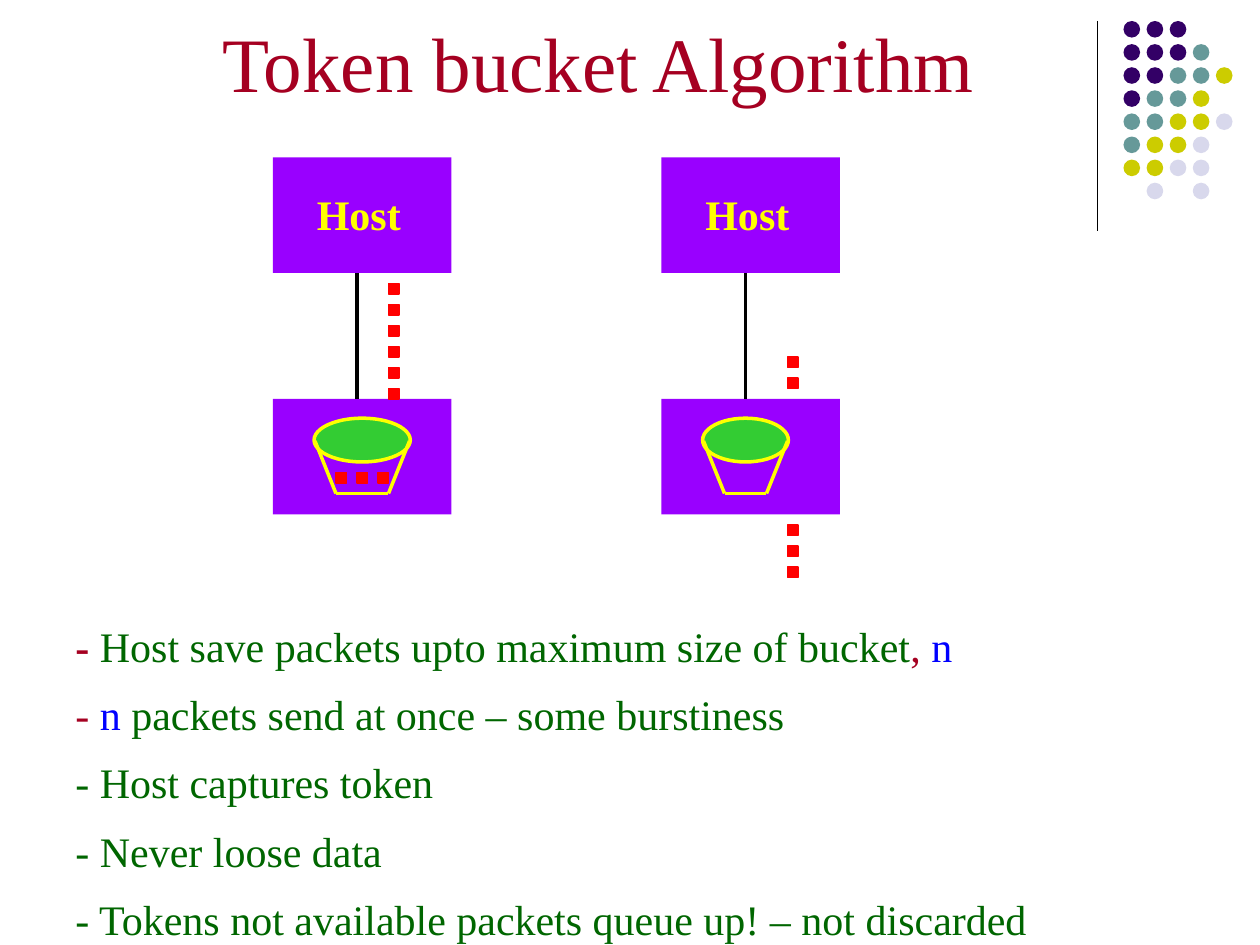
from lxml.etree import SubElement
from pptx import Presentation
from pptx.dml.color import RGBColor
from pptx.enum.shapes import MSO_CONNECTOR, MSO_SHAPE
from pptx.enum.text import MSO_ANCHOR, MSO_AUTO_SIZE, PP_ALIGN
from pptx.oxml.ns import qn
from pptx.util import Pt

VIOLET, YELLOW, GREEN, RED, BLACK = "9900FF", "FFFF00", "33CC33", "FF0000", "000000"
CRIMSON, DARK_GREEN, BLUE = "A50021", "006600", "0000FF"
DOT_COLORS = {"P": "330066", "T": "669999", "Y": "CCCC00", "L": "D8D8EC"}
DOT_ROWS = ["PPP", "PPPT", "PPTTY", "PTTY", "TTYYL", "TYYL", "YYLL", ".L.L"]


def color(value):
    return RGBColor.from_string(value)


class SlideBuilder:
    font_name = "Times New Roman"

    def __init__(self, slide):
        self.slide = slide

    def shape(self, kind, left, top, width, height, fill, line=None, line_width=1):
        shape = self.slide.shapes.add_shape(kind, Pt(left), Pt(top), Pt(width), Pt(height))
        shape.shadow.inherit = False
        shape.fill.solid()
        shape.fill.fore_color.rgb = color(fill)
        if line:
            shape.line.color.rgb = color(line)
            shape.line.width = Pt(line_width)
        else:
            shape.line.fill.background()
        return shape

    def line(self, x1, y1, x2, y2, line_color, width=2):
        connector = self.slide.shapes.add_connector(
            MSO_CONNECTOR.STRAIGHT, Pt(x1), Pt(y1), Pt(x2), Pt(y2))
        connector.line.color.rgb = color(line_color)
        connector.line.width = Pt(width)
        SubElement(connector._element.spPr, qn("a:effectLst"))

    def style(self, font, size, text_color, bold=False):
        font.name, font.size, font.bold = self.font_name, Pt(size), bold
        font.color.rgb = color(text_color)

    def title(self, text, left, top, width, height):
        title = self.slide.shapes.title
        title.left, title.top, title.width, title.height = map(Pt, (left, top, width, height))
        frame = title.text_frame
        frame.text = text
        frame.auto_size = MSO_AUTO_SIZE.NONE
        frame.vertical_anchor = MSO_ANCHOR.TOP
        frame.paragraphs[0].alignment = PP_ALIGN.CENTER
        self.style(frame.paragraphs[0].runs[0].font, 44, CRIMSON)

    def text(self, paragraphs, left, top, width, height, line_spacing=1.0, gap=0):
        """Each paragraph is a list of (text, color, bold) runs."""
        box = self.slide.shapes.add_textbox(Pt(left), Pt(top), Pt(width), Pt(height))
        frame = box.text_frame
        frame.word_wrap = True
        for index, runs in enumerate(paragraphs):
            paragraph = frame.add_paragraph() if index else frame.paragraphs[0]
            paragraph.line_spacing = line_spacing
            paragraph.space_before = Pt(gap if index else 0)
            for text, text_color, bold in runs:
                run = paragraph.add_run()
                run.text = text
                self.style(run.font, 24, text_color, bold)

    def dot_grid(self, left, top, pitch, size):
        for row, codes in enumerate(DOT_ROWS):
            for column, code in enumerate(codes):
                if code in DOT_COLORS:
                    self.shape(MSO_SHAPE.OVAL, left + column * pitch, top + row * pitch,
                               size, size, DOT_COLORS[code])

    def bucket(self, left, width):
        right, rim, bottom, taper = left + width, 252, 282, 12
        self.shape(MSO_SHAPE.OVAL, left - 0.5, 239, width + 1, 25, GREEN, YELLOW, 2)
        self.line(left + taper, bottom, right - taper, bottom, YELLOW)
        self.line(right, rim, right - taper, bottom, YELLOW)
        self.line(left, rim, left + taper, bottom, YELLOW)

    def host(self, left, bucket_width):
        for top in (90, 228):
            self.shape(MSO_SHAPE.RECTANGLE, left, top, 102, 66, VIOLET)
        self.line(left + 48, 156, left + 48, 228, BLACK)
        self.text([[("Host", YELLOW, True)]], left + 18, 104, 66, 36)
        self.bucket(left + 24, bucket_width)

    def packets(self, left, top, count, step_x=0, step_y=0):
        for index in range(count):
            self.shape(MSO_SHAPE.RECTANGLE, left + index * step_x, top + index * step_y,
                       6, 6, RED, RED)


def main():
    presentation = Presentation()
    presentation.slide_width, presentation.slide_height = Pt(720), Pt(540)
    builder = SlideBuilder(presentation.slides.add_slide(presentation.slide_layouts[5]))

    # Corner decoration
    builder.line(627, 12, 627, 132, BLACK, 0.75)
    builder.dot_grid(642, 12, 13.2, 9.5)

    builder.title("Token bucket Algorithm", 6, 5, 672, 60)

    # Hosts with their buckets
    builder.host(156, 54)
    builder.host(378, 48)

    # Packets waiting, held in the bucket, and sent
    builder.packets(222, 162, 6, step_y=12)
    builder.packets(192, 270, 3, step_x=12)
    builder.packets(450, 204, 2, step_y=12)
    builder.packets(450, 300, 3, step_y=12)

    # Explanation
    notes = [
        [("- ", CRIMSON, True),
         ("Host save packets upto maximum size of bucket", DARK_GREEN, False),
         (", ", CRIMSON, False), ("n", BLUE, False)],
        [("- ", CRIMSON, False), ("n ", BLUE, False),
         ("packets send at once – some burstiness", DARK_GREEN, False)],
    ]
    notes += [[(text, DARK_GREEN, False)] for text in (
        "- Host captures token",
        "- Never loose data",
        "- Tokens not available packets queue up! – not discarded",
    )]
    builder.text(notes, 36, 356.5, 684, 183, line_spacing=0.8, gap=16)

    presentation.save("out.pptx")


if __name__ == "__main__":
    main()
